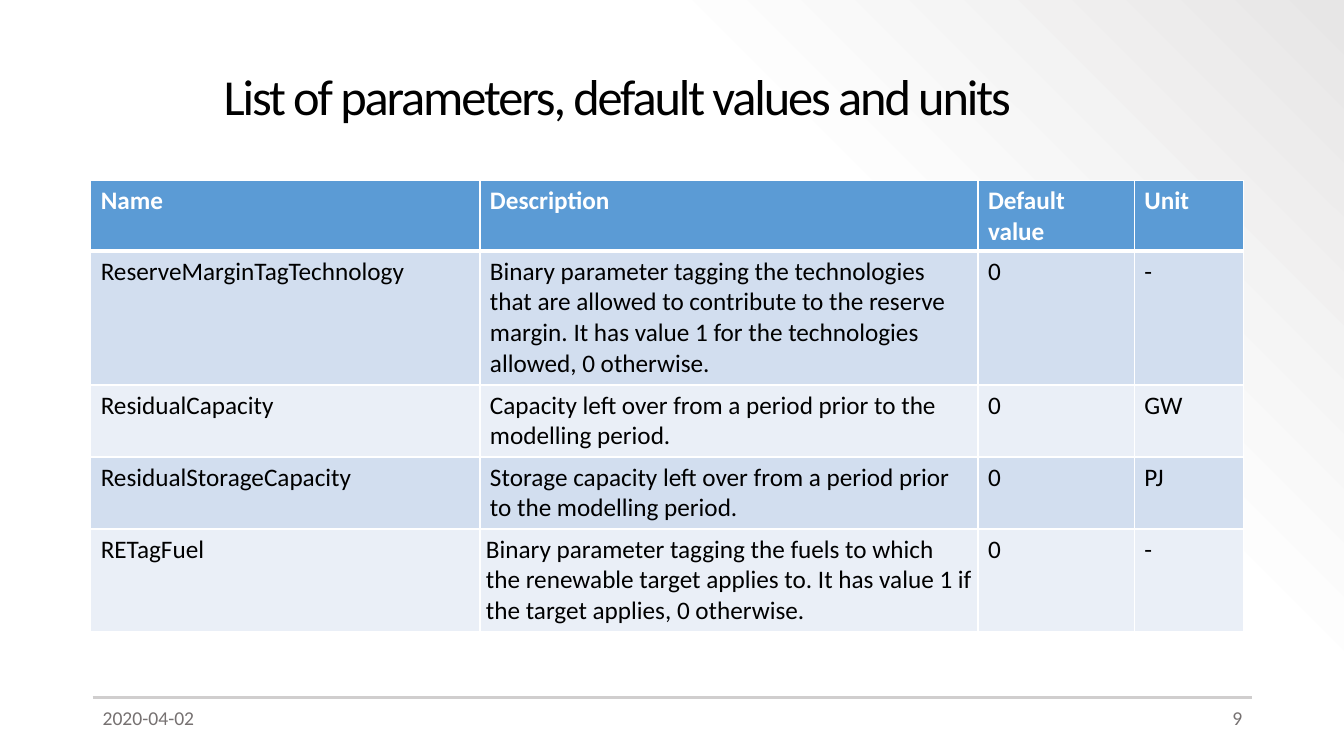
from dataclasses import dataclass

from lxml import etree
from pptx import Presentation
from pptx.dml.color import RGBColor
from pptx.enum.shapes import MSO_CONNECTOR
from pptx.enum.text import MSO_ANCHOR, PP_ALIGN
from pptx.oxml.ns import qn
from pptx.slide import Slide
from pptx.table import _Cell
from pptx.text.text import _Paragraph
from pptx.util import Inches, Pt

STRAIGHT = MSO_CONNECTOR.STRAIGHT
TOP, MIDDLE = MSO_ANCHOR.TOP, MSO_ANCHOR.MIDDLE
LEFT, RIGHT = PP_ALIGN.LEFT, PP_ALIGN.RIGHT

WHITE = RGBColor(0xFF, 0xFF, 0xFF)
BLACK = RGBColor(0x00, 0x00, 0x00)
NEAR_WHITE = RGBColor(0xFD, 0xFD, 0xFD)
PALE_GREY = RGBColor(0xE7, 0xE6, 0xE6)
RULE_GREY = RGBColor(0xD0, 0xCE, 0xCE)
FOOTER_GREY = RGBColor(0x76, 0x71, 0x71)
HEADER_BLUE = RGBColor(0x5B, 0x9B, 0xD5)
BANDS = (RGBColor(0xD2, 0xDE, 0xEF), RGBColor(0xEA, 0xEF, 0xF7))

FONT = "Calibri"
SLIDE_WIDTH = Inches(13.33)
SLIDE_HEIGHT = Inches(7.5)

# Shares of the slide's width and height, in percent
MARGIN_LEFT = 6.9
MARGIN_RIGHT = 93.17
RULE_TOP = 92.27
FOOTER_TOP = 92.67
FOOTER_WIDTH = 22.5
FOOTER_HEIGHT = 5.33
TABLE_LEFT, TABLE_TOP = 6.75, 23.87
COLUMN_WIDTHS = (28.96, 37.06, 11.63, 8.1)
HEADER_HEIGHT = 9.27


@dataclass(frozen=True)
class Label:
    text: str
    left: float
    top: float
    width: float
    height: float
    size: float
    color: RGBColor
    alignment: PP_ALIGN = LEFT
    anchor: MSO_ANCHOR = TOP
    line_spacing: float = 1.0
    letter_spacing: float = 0


@dataclass(frozen=True)
class Parameter:
    name: str
    description: str
    default: str
    unit: str
    height: float
    description_inset: float = 0.1


LABELS = (
    Label("List of parameters, default values and units", 15.9, 4.93, 77.27, 16.27,
          36, BLACK, anchor=MIDDLE, line_spacing=0.9, letter_spacing=-1.5),
    Label("2020-04-02", MARGIN_LEFT, FOOTER_TOP, FOOTER_WIDTH, FOOTER_HEIGHT,
          14, FOOTER_GREY),
    Label("9", MARGIN_RIGHT - FOOTER_WIDTH, FOOTER_TOP, FOOTER_WIDTH, FOOTER_HEIGHT,
          14, FOOTER_GREY, alignment=RIGHT),
)

HEADINGS = ("Name", "Description", "Default value", "Unit")
PARAMETERS = (
    Parameter("ReserveMarginTagTechnology",
              "Binary parameter tagging the technologies that are allowed to contribute "
              "to the reserve margin. It has value 1 for the technologies allowed, "
              "0 otherwise.", "0", "-", 17.73),
    Parameter("ResidualCapacity",
              "Capacity left over from a period prior to the modelling period.",
              "0", "GW", 9.52),
    Parameter("ResidualStorageCapacity",
              "Storage capacity left over from a period prior to the modelling period.",
              "0", "PJ", 9.52),
    Parameter("RETagFuel",
              "Binary parameter tagging the fuels to which the renewable target applies "
              "to. It has value 1 if the target applies, 0 otherwise.",
              "0", "-", 13.6, description_inset=0.06),
)


def across(percent: float) -> int:
    return round(SLIDE_WIDTH * percent / 100)


def down(percent: float) -> int:
    return round(SLIDE_HEIGHT * percent / 100)


def add_run(paragraph: _Paragraph, text: str, size: float, color: RGBColor,
            bold: bool = False, letter_spacing: float = 0) -> None:
    run = paragraph.add_run()
    run.text = text
    run.font.name = FONT
    run.font.size = Pt(size)
    run.font.bold = bold
    run.font.color.rgb = color
    if letter_spacing:
        run.font._element.set("spc", str(round(letter_spacing * 100)))


def paint_background(slide: Slide) -> None:
    """Fade from white to translucent grey in the top right corner."""
    fill = slide.background.fill
    fill.gradient()
    fill.gradient_angle = 45
    stops = next(slide.element.iter(qn("a:gsLst")))
    for stop in list(stops):
        stops.remove(stop)
    for position, color, opacity in ((0, WHITE, 100), (69, NEAR_WHITE, 100),
                                     (100, PALE_GREY, 50)):
        stop = etree.SubElement(stops, qn("a:gs"), pos=str(position * 1000))
        shade = etree.SubElement(stop, qn("a:srgbClr"), val=str(color))
        if opacity < 100:
            etree.SubElement(shade, qn("a:alpha"), val=str(opacity * 1000))


def add_footer_rule(slide: Slide) -> None:
    rule = slide.shapes.add_connector(STRAIGHT, across(MARGIN_LEFT), down(RULE_TOP),
                                      across(MARGIN_RIGHT), down(RULE_TOP))
    rule.line.color.rgb = RULE_GREY
    rule.line.width = Pt(1.5)
    etree.SubElement(rule._element.spPr, qn("a:effectLst"))


def add_label(slide: Slide, label: Label) -> None:
    box = slide.shapes.add_textbox(across(label.left), down(label.top),
                                   across(label.width), down(label.height))
    frame = box.text_frame
    frame.word_wrap = True
    frame.vertical_anchor = label.anchor
    paragraph = frame.paragraphs[0]
    paragraph.alignment = label.alignment
    paragraph.line_spacing = label.line_spacing
    add_run(paragraph, label.text, label.size, label.color,
            letter_spacing=label.letter_spacing)


def add_borders(cell: _Cell, top: float, bottom: float) -> None:
    properties = cell._tc.get_or_add_tcPr()
    for side, width in (("L", 1), ("R", 1), ("T", top), ("B", bottom)):
        line = etree.SubElement(properties, qn(f"a:ln{side}"), w=str(Pt(width)))
        fill = etree.SubElement(line, qn("a:solidFill"))
        etree.SubElement(fill, qn("a:srgbClr"), val=str(WHITE))


def add_parameter_table(slide: Slide) -> None:
    heights = [HEADER_HEIGHT] + [parameter.height for parameter in PARAMETERS]
    table = slide.shapes.add_table(
        len(heights), len(HEADINGS), across(TABLE_LEFT), down(TABLE_TOP),
        across(sum(COLUMN_WIDTHS)), down(sum(heights))).table
    for column, width in zip(table.columns, COLUMN_WIDTHS):
        column.width = across(width)
    for row, height in zip(table.rows, heights):
        row.height = down(height)

    rows = [HEADINGS] + [(parameter.name, parameter.description, parameter.default,
                          parameter.unit) for parameter in PARAMETERS]
    for row_index, texts in enumerate(rows):
        is_header = row_index == 0
        for column_index, text in enumerate(texts):
            cell = table.cell(row_index, column_index)
            add_borders(cell, top=3 if row_index == 1 else 1,
                        bottom=3 if is_header else 1)
            cell.fill.solid()
            cell.fill.fore_color.rgb = (HEADER_BLUE if is_header
                                        else BANDS[(row_index - 1) % len(BANDS)])
            add_run(cell.text_frame.paragraphs[0], text, 18,
                    WHITE if is_header else BLACK, bold=is_header)
    for row_index, parameter in enumerate(PARAMETERS, start=1):
        cell = table.cell(row_index, HEADINGS.index("Description"))
        cell.margin_left = cell.margin_right = Inches(parameter.description_inset)


def main() -> None:
    presentation = Presentation()
    presentation.slide_width = SLIDE_WIDTH
    presentation.slide_height = SLIDE_HEIGHT
    slide = presentation.slides.add_slide(presentation.slide_layouts[6])
    paint_background(slide)
    add_footer_rule(slide)
    for label in LABELS:
        add_label(slide, label)
    add_parameter_table(slide)
    presentation.save("out.pptx")


if __name__ == "__main__":
    main()
